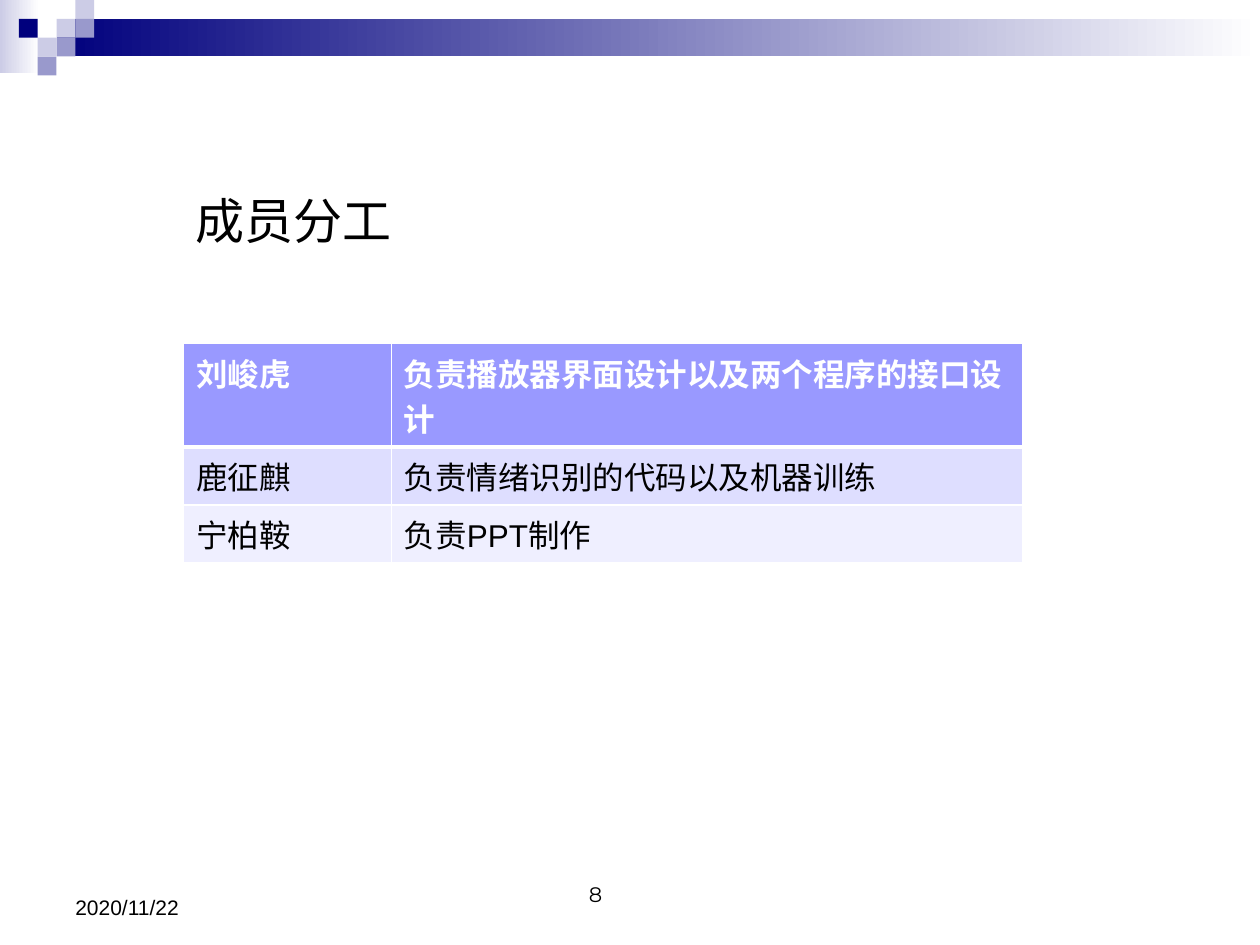
"""Build the slide that lists each team member's share of the work."""
from pptx import Presentation, util as u
from pptx.dml.color import RGBColor
from pptx.enum import shapes, text
from pptx.oxml import parse_xml
from pptx.oxml.ns import nsdecls

COLOURS = {
    "navy": "00007D", "pale": "CCCCE6", "mid": "9999CC", "white": "FFFFFF",
    "black": "000000", "header": "9999FF", "odd": "DEDEFF", "even": "EFEFFF",
}
TILE = 0.38
TILES = [(3, 1, "pale"), (4, 0, "pale"), (4, 1, "mid"), (2, 2, "pale"),
         (1, 1, "navy"), (3, 2, "mid"), (2, 3, "mid")]
DUTIES = [("刘峻虎", "负责播放器界面设计以及两个程序的接口设计"),
          ("鹿征麒", "负责情绪识别的代码以及机器训练"),
          ("宁柏鞍", "负责PPT制作")]
COLUMN_WIDTHS = (4.19, 12.73)
ROW_HEIGHTS = (2.09, 1.17, 1.17)


def rgb(name):
    """Return the named colour."""
    return RGBColor.from_string(COLOURS[name])


def box(*lengths):
    """Turn centimetres into lengths."""
    return [u.Cm(length) for length in lengths]


def set_font(run, colour="black", **values):
    """Apply font values to a run."""
    for key, value in {"name": "Arial", **values}.items():
        setattr(run.font, key, value)
    run.font.color.rgb = rgb(colour)


def add_block(slide, place, *colours):
    """Add a rectangle with a plain or gradient fill."""
    block = slide.shapes.add_shape(shapes.MSO_SHAPE.RECTANGLE, *box(*place))
    block.shadow.inherit = False
    block.line.fill.background()
    if len(colours) == 1:
        block.fill.solid()
        block.fill.fore_color.rgb = rgb(colours[0])
        return
    block.fill.gradient()
    block.fill.gradient_angle = 0
    for stop, colour in zip(block.fill.gradient_stops, colours):
        stop.color.rgb = rgb(colour)


def add_label(slide, place, words, frame_values, align=text.PP_ALIGN.LEFT, **font):
    """Add one line of text."""
    frame = slide.shapes.add_textbox(*box(*place)).text_frame
    for key, value in {"word_wrap": True, **frame_values}.items():
        setattr(frame, key, value)
    line = frame.paragraphs[0]
    line.alignment = align
    run = line.add_run()
    run.text = words
    set_font(run, **font)


def add_borders(cell, widths):
    """Draw white cell borders of the given widths in points."""
    for side, points in widths.items():
        cell._tc.get_or_add_tcPr().append(parse_xml(
            f'<a:ln{side} {nsdecls("a")} w="{u.Pt(points)}"><a:solidFill>'
            f'<a:srgbClr val="{COLOURS["white"]}"/></a:solidFill></a:ln{side}>'))


def add_duties(slide):
    """Add the table of members and duties."""
    table = slide.shapes.add_table(
        len(DUTIES), len(COLUMN_WIDTHS),
        *box(3.7, 6.92, sum(COLUMN_WIDTHS), sum(ROW_HEIGHTS))).table
    for column, width in zip(table.columns, box(*COLUMN_WIDTHS)):
        column.width = width
    for row, height in zip(table.rows, box(*ROW_HEIGHTS)):
        row.height = height
    for index, (row, duty) in enumerate(zip(table.rows, DUTIES)):
        is_header = index == 0
        for cell, words in zip(row.cells, duty):
            add_borders(cell, {"L": 1, "R": 1, "T": 3 if index == 1 else 1,
                               "B": 3 if is_header else 1})
            cell.fill.solid()
            cell.fill.fore_color.rgb = rgb(("header", "odd", "even")[index])
            run = cell.text_frame.paragraphs[0].add_run()
            run.text = words
            set_font(run, "white" if is_header else "black",
                     size=u.Pt(18), bold=is_header)


def main():
    """Build and save the slide."""
    deck = Presentation()
    deck.slide_width, deck.slide_height = box(25.4, 19.05)
    slide = deck.slides.add_slide(deck.slide_layouts[6])
    add_block(slide, (0, 0, 0.79, 1.47), "pale", "white")
    add_block(slide, (3 * TILE, TILE, 25.4 - 3 * TILE, 2 * TILE), "navy", "white")
    for column, row, colour in TILES:
        add_block(slide, (column * TILE, row * TILE, TILE, TILE), colour)
    bottom = {"vertical_anchor": text.MSO_ANCHOR.BOTTOM}
    add_label(slide, (11.3, 17.72, 1.09, 0.69), "8", bottom,
              text.PP_ALIGN.RIGHT, name="Montserrat", size=u.Pt(12))
    add_label(slide, (1.27, 17.35, 5.92, 1.32), "2020/11/22", bottom, size=u.Pt(12))
    add_duties(slide)
    add_label(slide, (3.7, 3.72, 9.4, 1.45), "成员分工",
              {"auto_size": text.MSO_AUTO_SIZE.SHAPE_TO_FIT_TEXT}, size=u.Pt(28))
    deck.save("out.pptx")


if __name__ == "__main__":
    main()
